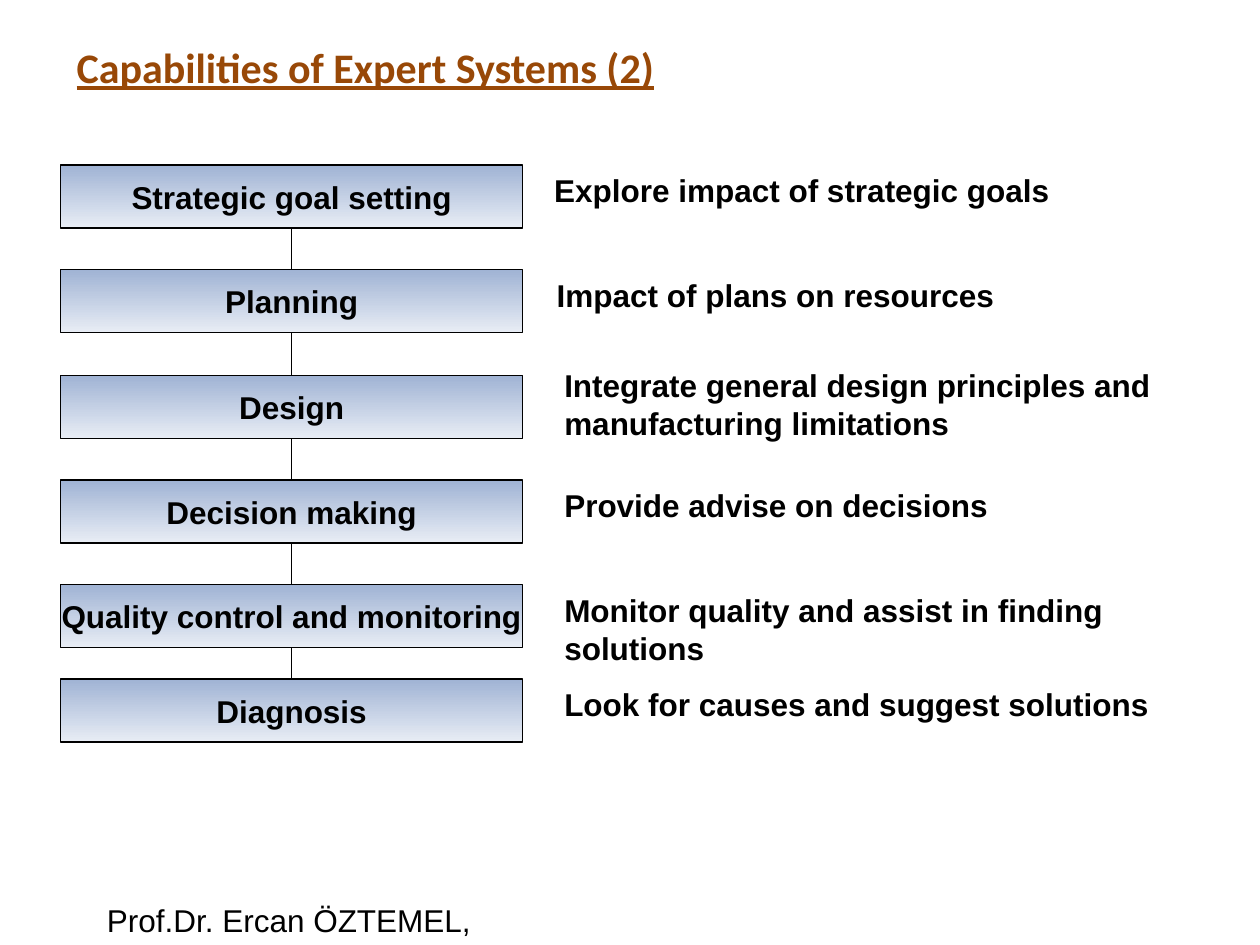
from dataclasses import dataclass

from lxml import etree
from pptx import Presentation
from pptx import util as u
from pptx.dml.color import RGBColor
from pptx.enum import shapes, text
from pptx.oxml import ns


@dataclass(frozen=True)
class Theme:
    ink: str = "000000"
    title: str = "984807"
    top: str = "A0B3D4"
    base: str = "E8EDF5"
    head: str = "Calibri"
    body: str = "Arial"
    big: int = 24
    size: int = 18
    line: float = 0.75


THEME = Theme()
LEFT, WIDTH, HEIGHT = 0.48, 3.67, 0.5
NOTE_WIDTH = 5.18

# Step, its top, its note, the note's left, top and height
STEPS = [
    ("Strategic goal setting", 1.31,
     "Explore impact of strategic goals", 4.3, 1.31, 0.4),
    ("Planning", 2.14,
     "Impact of plans on resources", 4.32, 2.14, 0.4),
    ("Design", 2.98,
     "Integrate general design principles and manufacturing limitations",
     4.38, 2.86, 0.7),
    ("Decision making", 3.81,
     "Provide advise on decisions", 4.38, 3.81, 0.4),
    ("Quality control and monitoring", 4.64,
     "Monitor quality and assist in finding solutions", 4.38, 4.64, 0.7),
    ("Diagnosis", 5.39,
     "Look for causes and suggest solutions", 4.38, 5.39, 0.4),
]


def rgb(code):
    return RGBColor.from_string(code)


def write(frame, words, bold=True, face=THEME.body, size=THEME.size,
          color=THEME.ink):
    para = frame.paragraphs[0]
    para.text = words
    font = para.font
    font.name, font.size, font.bold = face, u.Pt(size), bold
    font.color.rgb = rgb(color)
    return para


def add_text(slide, words, left, top, width, height, wrap=True, grow=True,
             **style):
    box = slide.shapes.add_textbox(*map(u.Inches, (left, top, width, height)))
    frame = box.text_frame
    frame.word_wrap = wrap
    if grow:
        frame.auto_size = text.MSO_AUTO_SIZE.SHAPE_TO_FIT_TEXT
    return write(frame, words, **style)


def add_step(slide, words, top):
    box = slide.shapes.add_shape(
        shapes.MSO_SHAPE.RECTANGLE,
        *map(u.Inches, (LEFT, top, WIDTH, HEIGHT)))
    box.shadow.inherit = False
    box.fill.gradient()
    box.fill.gradient_angle = 270
    stops = box.fill.gradient_stops
    for stop, place, code in zip(stops, (0, 1), (THEME.top, THEME.base)):
        stop.position = place
        stop.color.rgb = rgb(code)
    box.line.color.rgb = rgb(THEME.ink)
    box.line.width = u.Pt(THEME.line)
    frame = box.text_frame
    frame.word_wrap = False
    frame.vertical_anchor = text.MSO_ANCHOR.MIDDLE
    write(frame, words).alignment = text.PP_ALIGN.CENTER
    return box


def add_link(slide, upper, lower):
    link = slide.shapes.add_connector(
        shapes.MSO_CONNECTOR.STRAIGHT, 0, 0, 0, 0)
    link.begin_connect(upper, 2)
    link.end_connect(lower, 0)
    link.line.color.rgb = rgb(THEME.ink)
    link.line.width = u.Pt(THEME.line)
    etree.SubElement(link._element.spPr, ns.qn("a:effectLst"))


def main():
    deck = Presentation()
    deck.slide_width, deck.slide_height = u.Inches(10), u.Inches(7.5)
    slide = deck.slides.add_slide(deck.slide_layouts[6])

    # Footer and title
    add_text(slide, "Prof.Dr. Ercan ÖZTEMEL,", 0.75, 7.1, 3.19, 0.4,
             wrap=False, bold=False)
    title = add_text(slide, "Capabilities of Expert Systems (2)",
                     0.51, 0.28, 8.5, 0.55, grow=False, face=THEME.head,
                     size=THEME.big, color=THEME.title)
    title.font.underline = True

    # Chain of steps
    boxes = [add_step(slide, step[0], step[1]) for step in STEPS]
    for upper, lower in zip(boxes, boxes[1:]):
        add_link(slide, upper, lower)

    # Notes beside the steps
    for _, _, note, left, top, height in STEPS:
        add_text(slide, note, left, top, NOTE_WIDTH, height)

    deck.save("out.pptx")


if __name__ == "__main__":
    main()
